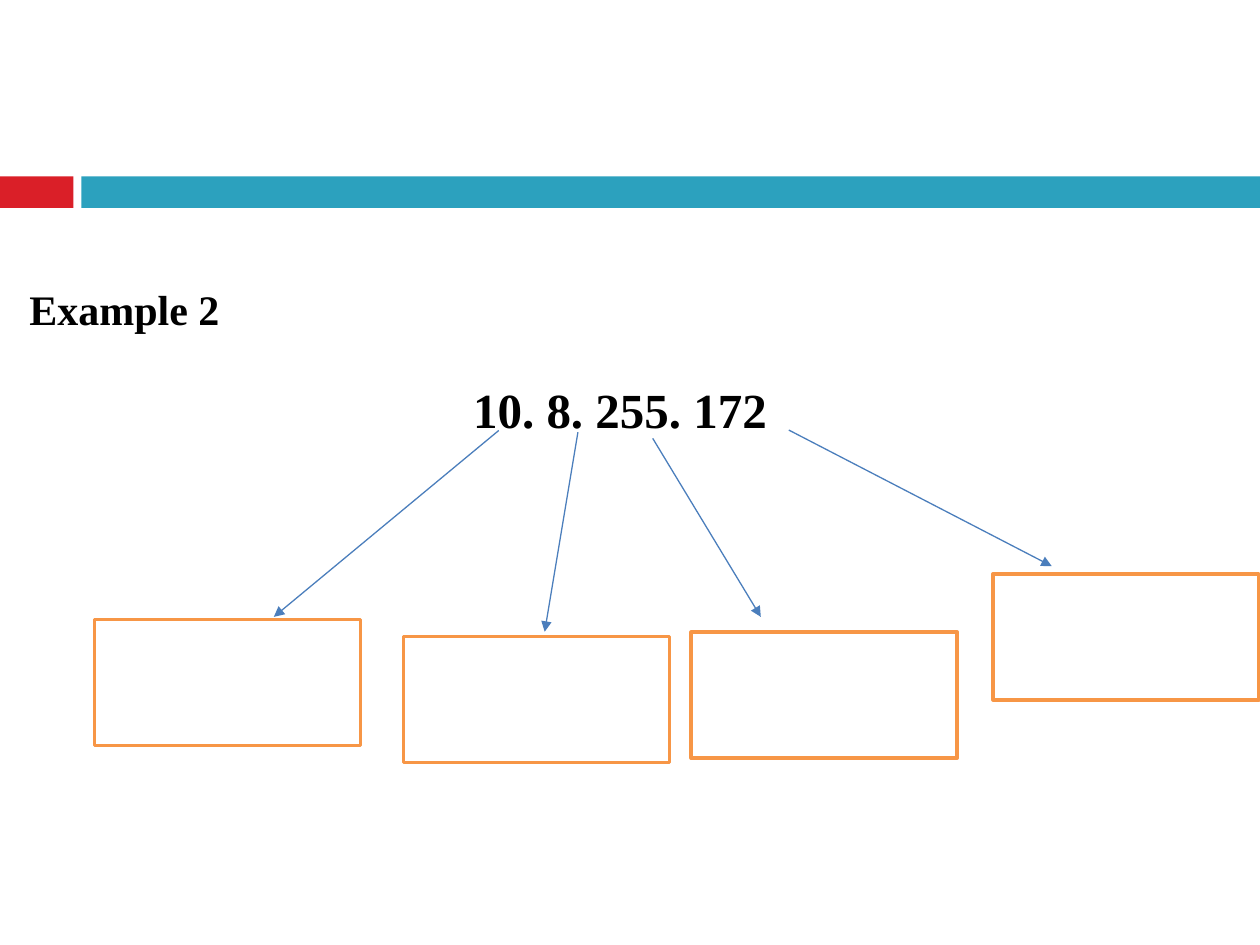
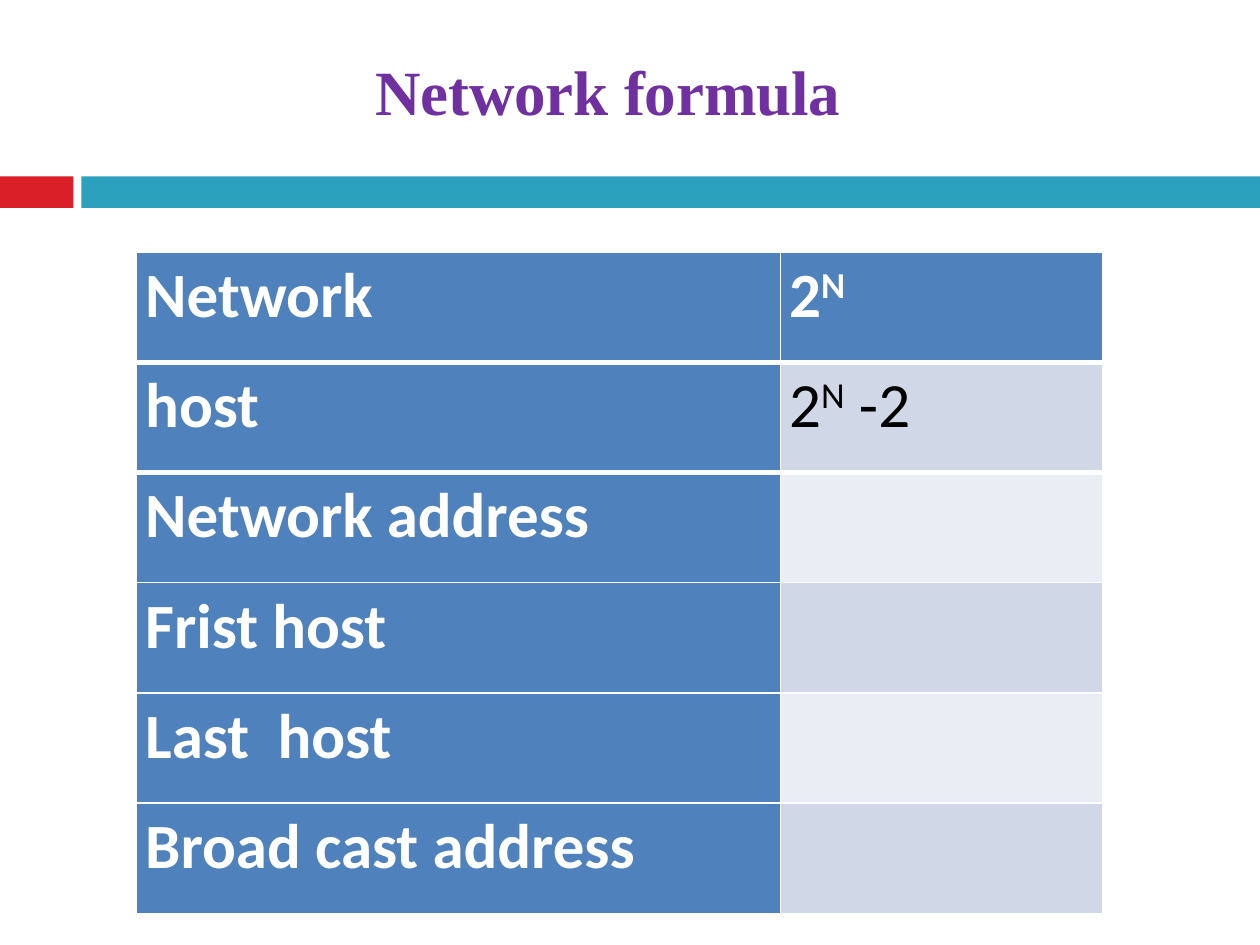
from typing import NamedTuple

from lxml.etree import Element, SubElement
from pptx import Presentation
from pptx.dml.color import RGBColor
from pptx.enum.shapes import MSO_CONNECTOR, MSO_SHAPE
from pptx.enum.text import PP_ALIGN
from pptx.oxml.ns import qn
from pptx.slide import Slide
from pptx.text.text import TextFrame
from pptx.util import Pt

WHITE = RGBColor(0xFF, 0xFF, 0xFF)
BLACK = RGBColor(0x00, 0x00, 0x00)
RED = RGBColor(0xDA, 0x1F, 0x28)
TEAL = RGBColor(0x2C, 0xA1, 0xBE)
PURPLE = RGBColor(0x70, 0x30, 0xA0)
ORANGE = RGBColor(0xF7, 0x96, 0x46)
ARROW_BLUE = RGBColor(0x4B, 0x7E, 0xBC)
HEADER_BLUE = RGBColor(0x4F, 0x81, 0xBD)
ODD_ROW = RGBColor(0xD0, 0xD8, 0xE8)
EVEN_ROW = RGBColor(0xE9, 0xED, 0xF4)

SERIF = "Times New Roman"
SANS = "Calibri"
SUPERSCRIPT = "30000"


class Box(NamedTuple):
    left: float
    top: float
    width: float
    height: float


class Arrow(NamedTuple):
    x1: float
    y1: float
    x2: float
    y2: float


class Run(NamedTuple):
    text: str
    raised: bool = False


class FormulaRow(NamedTuple):
    label: str
    formula: tuple[Run, ...] = ()


BAND = (
    (Box(0, 100.8, 42, 18), RED),
    (Box(46.5, 100.8, 673.5, 18), TEAL),
)
ANSWER_SIZE = (152, 72)
ANSWER_CORNERS = ((54, 354), (230.5, 363.75), (395, 361.25), (567.5, 328))
OCTET_ARROWS = (
    Arrow(285, 246, 156.5, 352.5),
    Arrow(330.25, 247, 311.25, 361),
    Arrow(373, 250.5, 434.75, 352.5),
    Arrow(450.75, 245.75, 601, 323.5),
)
FORMULA_TABLE = Box(78, 144, 552, 378)
FORMULA_COLUMNS = (368, 184)
FORMULA_ROWS = (
    FormulaRow("Network", (Run("2"), Run("N", raised=True))),
    FormulaRow("host", (Run("2"), Run("N", raised=True), Run(" -2"))),
    FormulaRow("Network address"),
    FormulaRow("Frist host"),
    FormulaRow("Last  host"),
    FormulaRow("Broad cast address"),
)
HEADER_RULE_SIDES = {0: "a:lnB", 1: "a:lnT"}


def points(box: tuple[float, ...]) -> list[Pt]:
    return [Pt(value) for value in box]


def add_rectangle(slide: Slide, box: Box, fill: RGBColor, outline: RGBColor | None = None) -> None:
    rectangle = slide.shapes.add_shape(MSO_SHAPE.RECTANGLE, *points(box))
    rectangle.shadow.inherit = False
    rectangle.fill.solid()
    rectangle.fill.fore_color.rgb = fill
    if outline is None:
        rectangle.line.fill.background()
    else:
        rectangle.line.color.rgb = outline
        rectangle.line.width = Pt(2)


def add_arrow(slide: Slide, arrow: Arrow) -> None:
    connector = slide.shapes.add_connector(MSO_CONNECTOR.STRAIGHT, *points(arrow))
    connector.line.color.rgb = ARROW_BLUE
    connector.line.width = Pt(0.75)
    SubElement(connector.line._get_or_add_ln(), qn("a:tailEnd"), type="triangle")
    SubElement(connector._element.spPr, qn("a:effectLst"))


def add_text_frame(slide: Slide, box: Box, top_inset: float) -> TextFrame:
    frame = slide.shapes.add_textbox(*points(box)).text_frame
    insets = {"margin_left": 0, "margin_right": 0, "margin_top": Pt(top_inset), "margin_bottom": 0}
    for name, value in {"word_wrap": True, **insets}.items():
        setattr(frame, name, value)
    return frame


def write(paragraph, runs: tuple[Run, ...], font: str, size: float, color: RGBColor, bold: bool = True) -> None:
    for part in runs:
        run = paragraph.add_run()
        run.text = part.text
        for name, value in {"name": font, "size": Pt(size), "bold": bold}.items():
            setattr(run.font, name, value)
        run.font.color.rgb = color
        if part.raised:
            run.font._element.set("baseline", SUPERSCRIPT)


def add_header_rule(cell, side: str) -> None:
    """Draw the thick white line between the header and the first row."""
    rule = Element(qn(side), w=str(Pt(3)))
    SubElement(SubElement(rule, qn("a:solidFill")), qn("a:srgbClr"), val=str(WHITE))
    cell._tc.get_or_add_tcPr().insert(0, rule)


def add_banded_slide(presentation) -> Slide:
    slide = presentation.slides.add_slide(presentation.slide_layouts[6])
    for box, color in BAND:
        add_rectangle(slide, box, color)
    return slide


def build_example(slide: Slide) -> None:
    frame = add_text_frame(slide, Box(16.75, 136, 627, 117), top_inset=26)
    write(frame.paragraphs[0], (Run("Example 2"),), SERIF, 24, BLACK)
    address = frame.add_paragraph()
    address.alignment = PP_ALIGN.CENTER
    address.space_before = Pt(26)
    address._p.get_or_add_pPr().set("marL", str(Pt(48)))
    write(address, (Run("10. 8. 255. 172"),), SERIF, 28, BLACK)

    for arrow in OCTET_ARROWS:
        add_arrow(slide, arrow)
    for corner in ANSWER_CORNERS:
        add_rectangle(slide, Box(*corner, *ANSWER_SIZE), WHITE, ORANGE)


def build_formulas(slide: Slide) -> None:
    title = add_text_frame(slide, Box(41.75, 30, 611, 44), top_inset=0).paragraphs[0]
    title.alignment = PP_ALIGN.CENTER
    write(title, (Run("Network formula"),), SERIF, 36, PURPLE)
    title.runs[0].font._element.set("spc", "-10")

    table = slide.shapes.add_table(len(FORMULA_ROWS), len(FORMULA_COLUMNS), *points(FORMULA_TABLE)).table
    table.first_col = True
    for column, width in zip(table.columns, FORMULA_COLUMNS):
        column.width = Pt(width)
    for row_index, row in enumerate(FORMULA_ROWS):
        for column_index, runs in enumerate(((Run(row.label),), row.formula)):
            heading = row_index == 0 or column_index == 0
            cell = table.cell(row_index, column_index)
            insets = {"margin_left": Pt(5), "margin_right": Pt(5), "margin_top": 0, "margin_bottom": 0}
            for name, value in insets.items():
                setattr(cell, name, value)
            cell.fill.solid()
            cell.fill.fore_color.rgb = HEADER_BLUE if heading else (EVEN_ROW, ODD_ROW)[row_index % 2]
            if row_index in HEADER_RULE_SIDES:
                add_header_rule(cell, HEADER_RULE_SIDES[row_index])
            paragraph = cell.text_frame.paragraphs[0]
            paragraph.line_spacing = 1.07
            write(paragraph, runs, SANS, 36, WHITE if heading else BLACK, bold=heading)


def main() -> None:
    presentation = Presentation()
    presentation.slide_width, presentation.slide_height = Pt(720), Pt(540)
    for build in (build_example, build_formulas):
        build(add_banded_slide(presentation))
    presentation.save("out.pptx")


if __name__ == "__main__":
    main()
